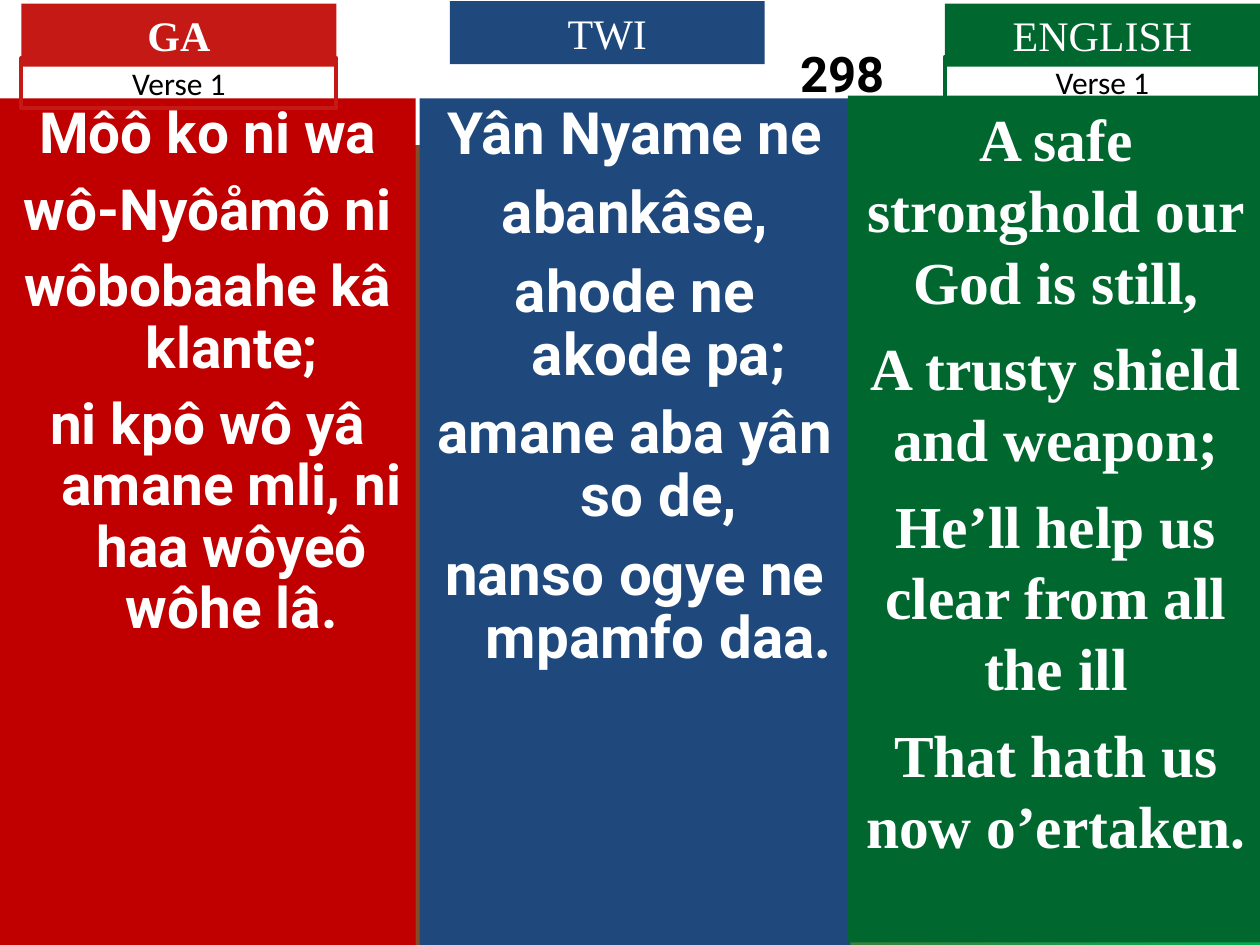
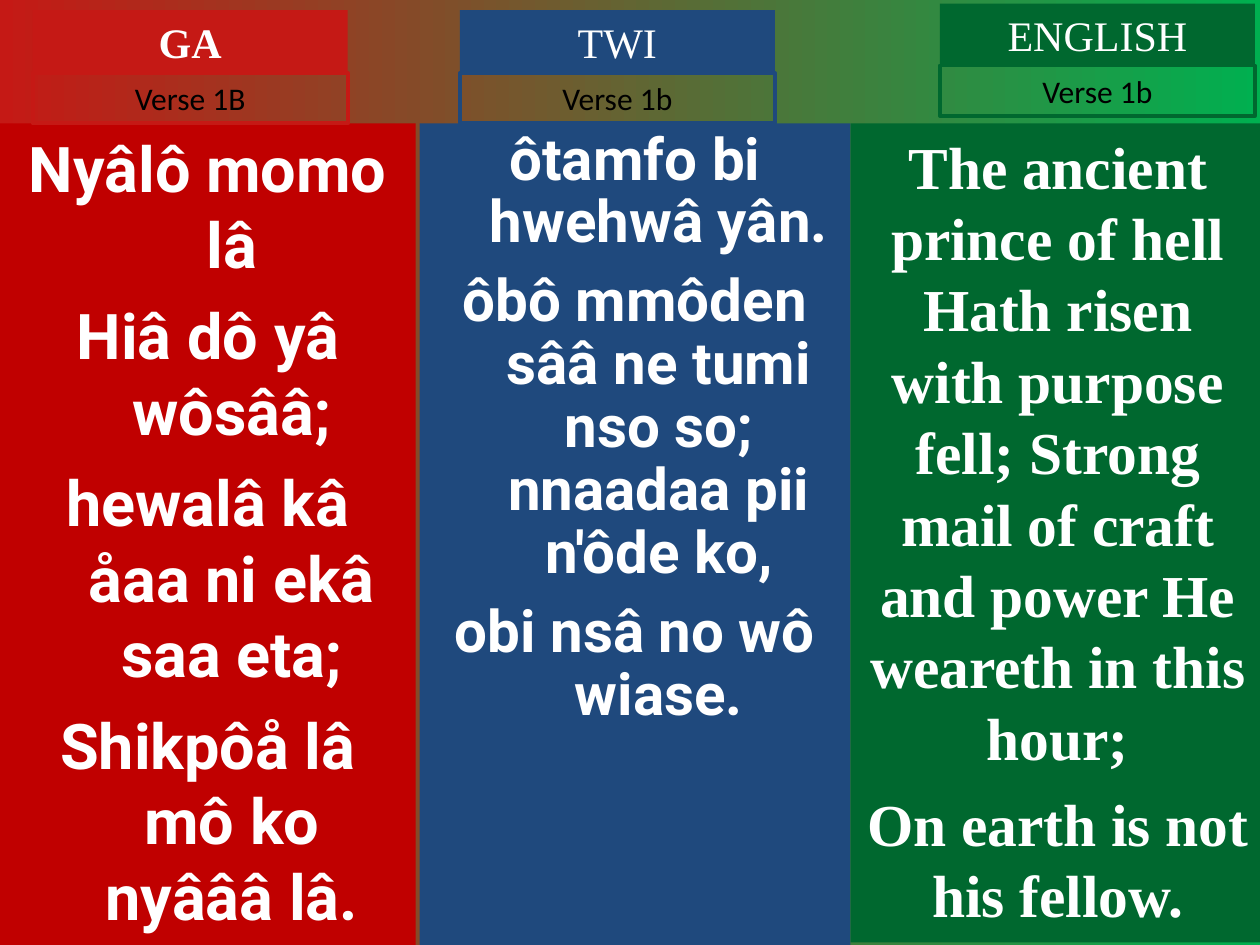
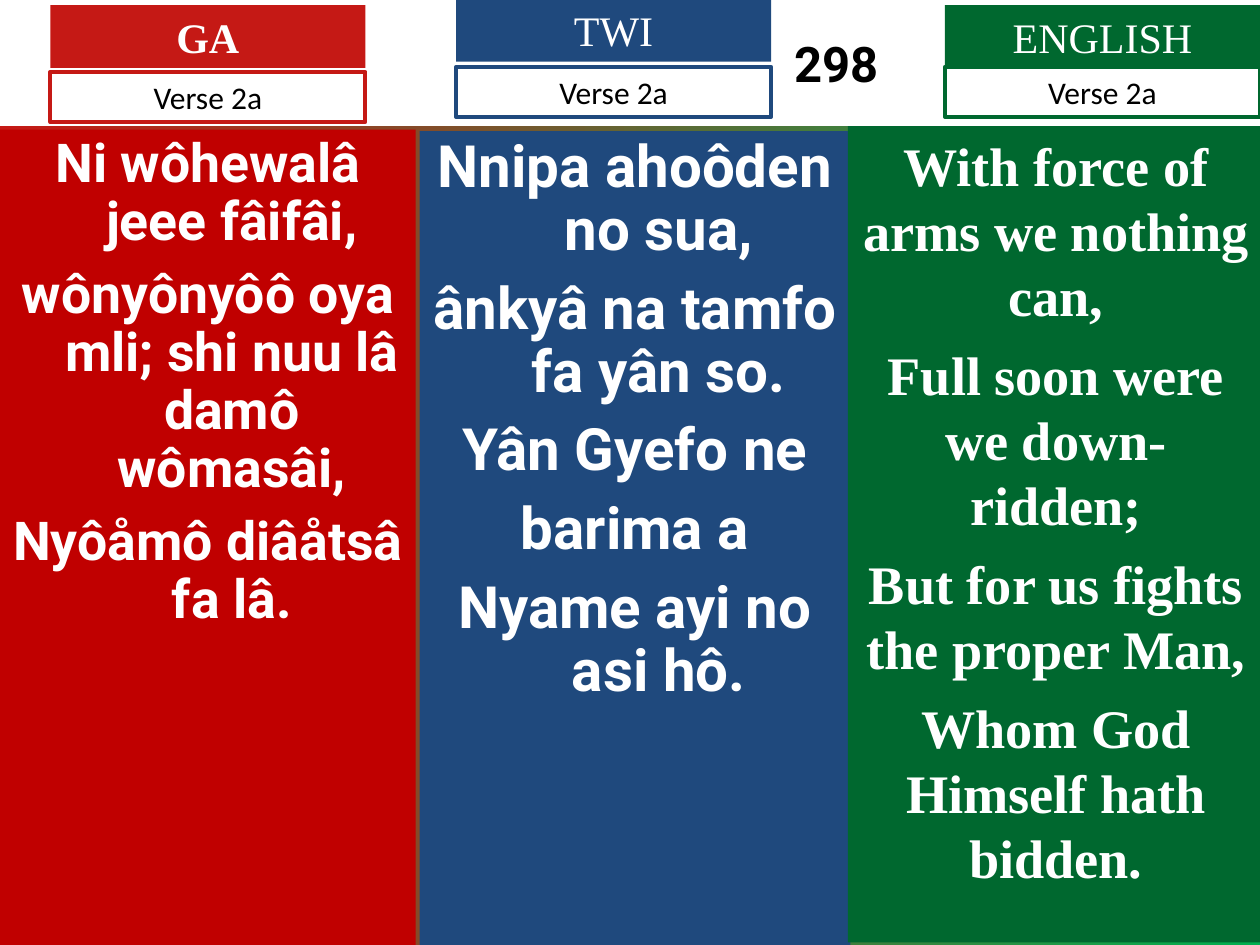
from dataclasses import dataclass

from pptx import Presentation
from pptx.dml.color import RGBColor
from pptx.enum.shapes import MSO_SHAPE as Shape
from pptx.enum.text import MSO_ANCHOR as Anchor, PP_ALIGN as Align
from pptx.util import Inches, Pt

COLS, ROWS = 100, 75
TITLE_ONLY, BLANK = 5, 6


@dataclass(frozen=True)
class Theme:
    white: str = "FFFFFF"
    black: str = "000000"
    glow_start: str = "C51915"
    glow_end: str = "00B050"
    lyric_font: str = "Roboto"
    serif: str = "Times New Roman"
    sans: str = "Calibri"
    title_size: float = 28
    label_size: float = 24
    verse_size: float = 18
    border: float = 2.25


@dataclass(frozen=True)
class Box:
    left: float
    top: float
    width: float
    height: float


@dataclass(frozen=True)
class Language:
    name: str
    label_color: str
    column_color: str
    font: str
    label_bold: bool = False
    hanging: bool = True
    bottom: float = ROWS


@dataclass(frozen=True)
class Panel:
    language: Language
    left: float
    top: float
    width: float
    label_left: float
    label_top: float
    verse_top: float
    verse: str
    size: float
    gap: float
    spacing: float
    lines: tuple[str, ...]


@dataclass(frozen=True)
class Verse:
    panels: tuple[Panel, ...]
    number: str = ""
    band: float = 0
    number_inset: float = 0


THEME = Theme()
GA = Language("GA", "C51915", "C00000", THEME.lyric_font, label_bold=True)
TWI = Language("TWI", "1F497D", "1F497D", THEME.lyric_font)
ENGLISH = Language("ENGLISH", "00682F", "00682F", THEME.serif, hanging=False, bottom=74.8)

VERSES = (
    Verse((
        Panel(GA, 0, 7.8, 33, 1.7, 0.3, 4.6, "Verse 1", 32.4, 8.8, 0.9, (
            "Môô ko ni wa", "wô-Nyôåmô ni", "wôbobaahe kâ klante;",
            "ni kpô wô yâ amane mli, ni haa wôyeô wôhe lâ.")),
        Panel(TWI, 33.3, 7.8, 34.2, 35.7, 0.1, 0, "", 33.3, 9, 0.9, (
            "Yân Nyame ne", "abankâse,", "ahode ne akode pa;",
            "amane aba yân so de,", "nanso ogye ne mpamfo daa.")),
        Panel(ENGLISH, 67.3, 7.6, 33, 75, 0.3, 4.5, "Verse 1", 34, 8.5, 1, (
            "A safe stronghold our God is still,", "A trusty shield and weapon;",
            "He’ll help us clear from all the ill", "That hath us now o’ertaken.")),
    ), "298", 11.5, 33.8),
    Verse((
        Panel(GA, 0, 9.8, 33, 2.6, 0.8, 5.8, "Verse 1B", 36, 9, 1, (
            "Nyâlô momo lâ", "Hiâ dô yâ wôsââ;", "hewalâ kâ åaa ni ekâ saa eta;",
            "Shikpôå lâ mô ko nyâââ lâ.")),
        Panel(TWI, 33.3, 9.8, 34.2, 36.5, 0.8, 5.8, "Verse 1b", 33.3, 9, 0.9, (
            "ôtamfo bi hwehwâ yân.",
            "ôbô mmôden sââ ne tumi nso so; nnaadaa pii n'ôde ko,",
            "obi nsâ no wô wiase.")),
        Panel(ENGLISH, 67.5, 9.8, 32.9, 74.6, 0.3, 5.2, "Verse 1b", 34, 8.5, 1, (
            "The ancient prince of hell Hath risen with purpose fell; "
            "Strong mail of craft and power He weareth in this hour;",
            "On earth is not his fellow.")),
    )),
    Verse((
        Panel(GA, 0, 10.3, 33, 4, 0.4, 5.7, "Verse 2a", 30.6, 9, 0.9, (
            "Ni wôhewalâ jeee fâifâi,",
            "wônyônyôô oya mli; shi nuu lâ damô wômasâi,",
            "Nyôåmô diâåtsâ fa lâ.")),
        Panel(TWI, 33.3, 10.4, 34.2, 36.2, -0.1, 5.3, "Verse 2a", 33.3, 9, 0.9, (
            "Nnipa ahoôden no sua,", "ânkyâ na tamfo fa yân so.", "Yân Gyefo ne",
            "barima a", "Nyame ayi no asi hô.")),
        Panel(ENGLISH, 67.3, 10, 33, 75, 0.4, 5.3, "Verse 2a", 31, 7.7, 1, (
            "With force of arms we nothing can,", "Full soon were we down-ridden;",
            "But for us fights the proper Man,", "Whom God Himself hath bidden.")),
    ), "298", 10, 32.8),
)


def color(code: str) -> RGBColor:
    return RGBColor.from_string(code)


def place(prs, sp, box: Box) -> None:
    sp.left = round(prs.slide_width * box.left / COLS)
    sp.top = round(prs.slide_height * box.top / ROWS)
    sp.width = round(prs.slide_width * box.width / COLS)
    sp.height = round(prs.slide_height * box.height / ROWS)


def format_text(p, font: str, size: float, code: str, bold: bool = False) -> None:
    p.alignment = Align.CENTER
    for r in p.runs:
        r.font.name = font
        r.font.size = Pt(size)
        r.font.bold = bold
        r.font.color.rgb = color(code)


def add_box(prs, slide, box: Box, fill: str = "", line: str = ""):
    sp = slide.shapes.add_shape(Shape.RECTANGLE, 0, 0, 0, 0)
    place(prs, sp, box)
    sp.shadow.inherit = False
    if fill:
        sp.fill.solid()
        sp.fill.fore_color.rgb = color(fill)
    else:
        sp.fill.background()
    if line:
        sp.line.color.rgb = color(line)
        sp.line.width = Pt(THEME.border)
    else:
        sp.line.fill.background()
    sp.text_frame.word_wrap = True
    sp.text_frame.vertical_anchor = Anchor.TOP
    return sp


def add_column(prs, slide, panel: Panel) -> None:
    lang = panel.language
    box = Box(panel.left, panel.top, panel.width, lang.bottom - panel.top)
    tf = add_box(prs, slide, box, fill=lang.column_color).text_frame
    for i, line in enumerate(panel.lines):
        p = tf.add_paragraph() if i else tf.paragraphs[0]
        p.text = line
        p.line_spacing = panel.spacing
        p.space_before = Pt(panel.gap if i else 0)
        if lang.hanging:
            pPr = p._p.get_or_add_pPr()
            pPr.set("marL", str(Inches(0.38)))
            pPr.set("indent", str(-Inches(0.38)))
        format_text(p, lang.font, panel.size, THEME.white, True)


def add_labels(prs, slide, panel: Panel) -> None:
    lang = panel.language
    sp = add_box(prs, slide, Box(panel.label_left, panel.label_top, 25, 5), fill=lang.label_color)
    sp.text_frame.text = lang.name
    format_text(sp.text_frame.paragraphs[0], THEME.serif, THEME.label_size,
                THEME.white, lang.label_bold)
    if panel.verse:
        sp = add_box(prs, slide, Box(panel.label_left, panel.verse_top, 25, 4), line=lang.label_color)
        sp.text_frame.text = panel.verse
        format_text(sp.text_frame.paragraphs[0], THEME.sans, THEME.verse_size, THEME.black)


def set_title(prs, slide, verse: Verse) -> None:
    sp = slide.shapes.title
    place(prs, sp, Box(0, 0, COLS, verse.band))
    sp.fill.solid()
    sp.fill.fore_color.rgb = color(THEME.white)
    tf = sp.text_frame
    tf.text = verse.number
    tf.vertical_anchor = Anchor.MIDDLE
    tf.margin_left = round(prs.slide_width * verse.number_inset / COLS)
    tf.margin_right = 0
    format_text(tf.paragraphs[0], THEME.lyric_font, THEME.title_size, THEME.black, True)


def add_verse(prs, verse: Verse) -> None:
    slide = prs.slides.add_slide(prs.slide_layouts[TITLE_ONLY if verse.number else BLANK])
    fill = slide.background.fill
    fill.gradient()
    fill.gradient_angle = 0
    for stop, code in zip(fill.gradient_stops, (THEME.glow_start, THEME.glow_end)):
        stop.color.rgb = color(code)
    if verse.number:
        set_title(prs, slide, verse)
    for panel in verse.panels:
        add_column(prs, slide, panel)
    for panel in verse.panels:
        add_labels(prs, slide, panel)


def main() -> None:
    prs = Presentation()
    prs.slide_width, prs.slide_height = Inches(10), Inches(7.5)
    for verse in VERSES:
        add_verse(prs, verse)
    prs.save("out.pptx")


if __name__ == "__main__":
    main()
